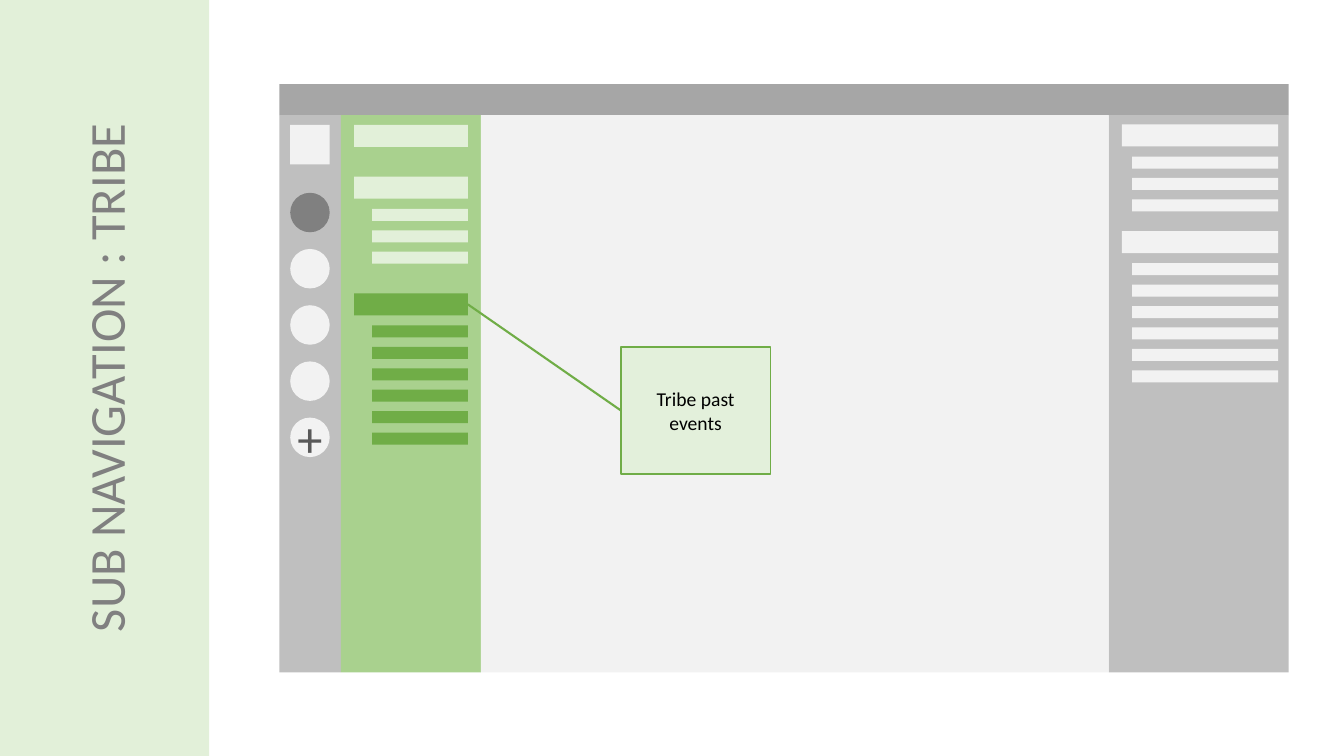
from lxml import etree
from pptx import Presentation
from pptx.dml.color import RGBColor
from pptx.enum.shapes import MSO_CONNECTOR, MSO_SHAPE
from pptx.enum.text import MSO_ANCHOR, PP_ALIGN
from pptx.oxml.ns import qn
from pptx.util import Pt

RECTANGLE = MSO_SHAPE.RECTANGLE
OVAL = MSO_SHAPE.OVAL
STRAIGHT = MSO_CONNECTOR.STRAIGHT
MIDDLE = MSO_ANCHOR.MIDDLE
CENTER = PP_ALIGN.CENTER
LEFT_SIDE, RIGHT_SIDE = 1, 3

PALE_GREEN, LIGHT_GREEN, GREEN = "E2F0D9", "A9D18E", "70AD47"
PALE_GRAY, LIGHT_GRAY, MID_GRAY = "F2F2F2", "BFBFBF", "A6A6A6"
GRAY, DARK_GRAY, BLACK = "808080", "595959", "000000"


def color(hex_string):
    return RGBColor.from_string(hex_string)


class WireframeSlide:
    font = "Calibri"
    heading_height = 15.8
    item_height = 8.6
    first_item_offset = 23
    item_pitch = 15.3

    def __init__(self, presentation):
        self.slide = presentation.slides.add_slide(presentation.slide_layouts[6])

    def block(self, left, top, width, height, fill, kind=RECTANGLE):
        shape = self.slide.shapes.add_shape(
            kind, Pt(left), Pt(top), Pt(width), Pt(height))
        shape.shadow.inherit = False
        shape.fill.solid()
        shape.fill.fore_color.rgb = color(fill)
        shape.line.fill.background()
        return shape

    def label(self, shape, text, size, text_color):
        frame = shape.text_frame
        frame.text = text
        frame.word_wrap = True
        frame.vertical_anchor = MIDDLE
        paragraph = frame.paragraphs[0]
        paragraph.alignment = CENTER
        font = paragraph.runs[0].font
        font.name, font.size = self.font, Pt(size)
        font.color.rgb = color(text_color)
        return frame

    def menu(self, left, right, top, indent, item_count, fill):
        """Draw a heading bar with indented item bars; return the heading."""
        heading = self.block(left, top, right - left, self.heading_height, fill)
        for index in range(item_count):
            item_top = top + self.first_item_offset + index * self.item_pitch
            self.block(left + indent, item_top, right - left - indent,
                       self.item_height, fill)
        return heading

    def connect(self, start, end, line_color, width):
        connector = self.slide.shapes.add_connector(STRAIGHT, 0, 0, 0, 0)
        connector.begin_connect(start, RIGHT_SIDE)
        connector.end_connect(end, LEFT_SIDE)
        connector.line.color.rgb = color(line_color)
        connector.line.width = Pt(width)
        properties = connector._element.spPr
        etree.SubElement(properties, qn("a:effectLst"))


def main():
    presentation = Presentation()
    presentation.slide_width, presentation.slide_height = Pt(960), Pt(540)
    wireframe = WireframeSlide(presentation)

    # Application frame
    frame_left, frame_right = 199.5, 920.5
    body_top, body_height = 82.2, 398
    wireframe.block(frame_left, 60, frame_right - frame_left, 22.2, MID_GRAY)
    columns = [(frame_left, 243.5, LIGHT_GRAY), (243.5, 343.5, LIGHT_GREEN),
               (343.5, 792, PALE_GRAY), (792, frame_right, LIGHT_GRAY)]
    for left, right, fill in columns:
        wireframe.block(left, body_top, right - left, body_height, fill)

    # Title band
    band = wireframe.block(0, 0, 149.5, 540, PALE_GREEN)
    title = wireframe.label(band, "SUB NAVIGATION : TRIBE", 36, GRAY)
    title._txBody.bodyPr.set("vert", "vert270")

    # Sub navigation menus
    for top, item_count, fill in [(89.2, 0, PALE_GREEN), (126.2, 3, PALE_GREEN),
                                  (209.5, 6, GREEN)]:
        past_events = wireframe.menu(253, 334.2, top, 12.8, item_count, fill)

    # Callout
    callout = wireframe.block(443.5, 247.8, 106.8, 90.8, PALE_GREEN)
    fill_color = callout._element.spPr.find(qn("a:solidFill"))[0]
    etree.SubElement(fill_color, qn("a:alpha"), val="90000")
    callout.line.color.rgb = color(GREEN)
    callout.line.width = Pt(1)
    wireframe.label(callout, "Tribe past events", 14, BLACK)
    wireframe.connect(past_events, callout, GREEN, 1.5)

    # Icon rail
    icon_left, icon_size = 207.3, 28.2
    wireframe.block(icon_left, 89.2, icon_size, icon_size, PALE_GRAY)
    for index, fill in enumerate([GRAY] + [PALE_GRAY] * 4):
        icon = wireframe.block(icon_left, 137.7 + index * 40.15,
                               icon_size, icon_size, fill, OVAL)
    plus = wireframe.label(icon, "+", 36, DARK_GRAY)
    plus.margin_left = plus.margin_right = 0
    plus.margin_top = plus.margin_bottom = 0

    # Right-hand menus
    for top, item_count in [(88.8, 3), (165, 6)]:
        wireframe.menu(801.3, 913, top, 7.4, item_count, PALE_GRAY)

    presentation.save("out.pptx")


if __name__ == "__main__":
    main()
